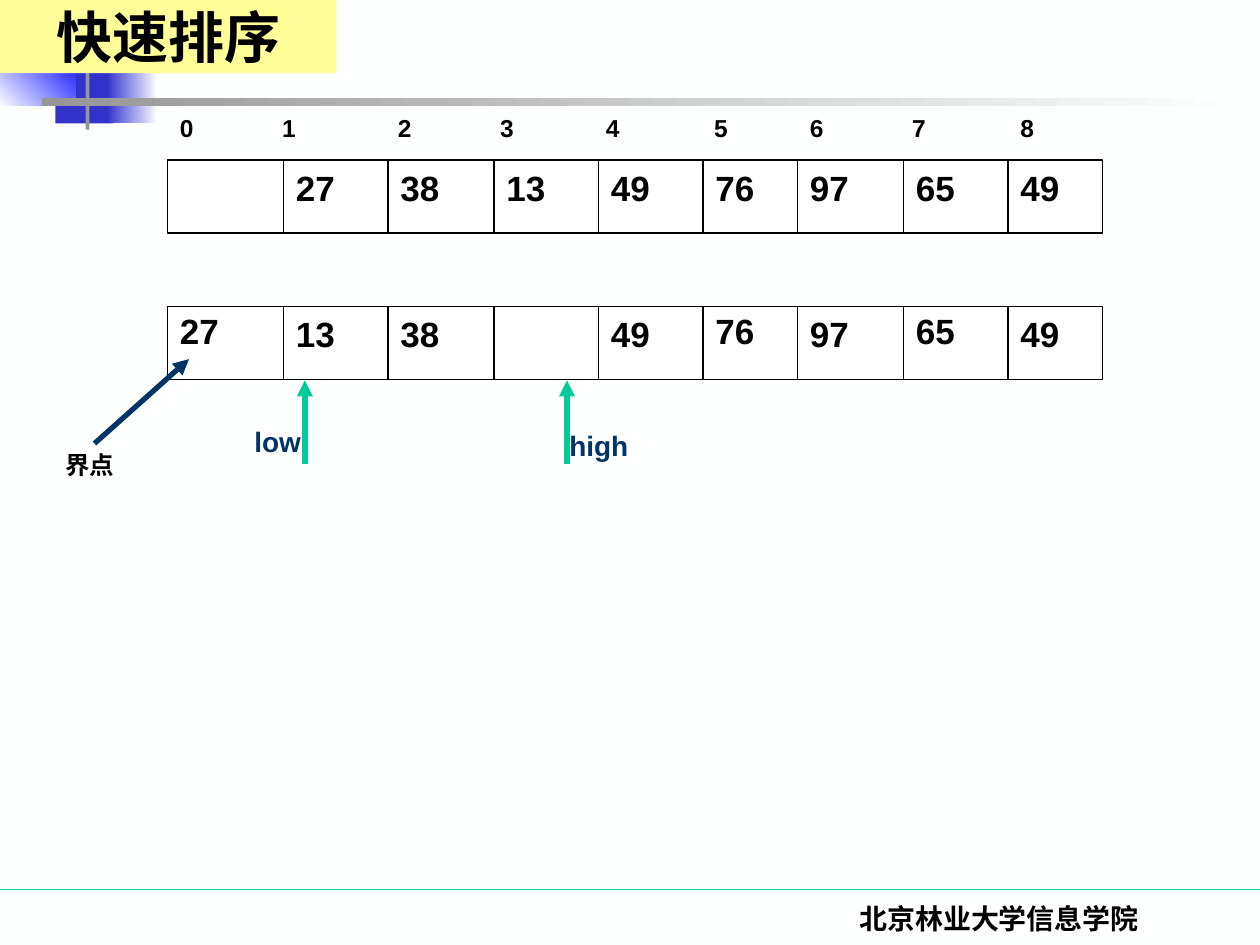
from pptx import Presentation
from pptx.dml.color import RGBColor
from pptx.enum import shapes, text
from pptx.oxml import parse_xml
from pptx.oxml.ns import nsdecls
from pptx.util import Inches, Pt

BLACK = RGBColor(0, 0, 0)
PAPER = RGBColor(0xFE, 0xFF, 0xFF)
WHITE = RGBColor(0xFF, 0xFF, 0xFF)
GRAY = RGBColor(0x96, 0x96, 0x96)
BLUE = RGBColor(0x33, 0x33, 0xCC)
PURE = RGBColor(0, 0, 0xFF)
NAVY = RGBColor(0, 0x33, 0x66)
GREEN = RGBColor(0, 0xCC, 0x99)
YELLOW = RGBColor(0xFF, 0xFF, 0x99)
SANS, SERIF = "Arial", "Times New Roman"

DECOR = [
    ((0.44, 0.46, 0.46, 0.52), [BLUE], 0),
    ((0.85, 0.46, 0.4, 0.52), [BLUE, PAPER], 0),
    ((-0.01, 0.38, 0.61, 0.46), [PAPER, PURE], 45),
    ((0.68, -0.12, 0.03, 1.15), [GRAY], 0),
    ((0.33, 0.78, 9.51, 0.06), [GRAY, PAPER], 0),
]
EDGES = [1.33, 2.25, 3.08, 3.92, 4.75, 5.58, 6.33, 7.17, 8, 8.75]
TABS = [0.81, 1.73, 2.54, 3.38, 4.24, 5, 5.81, 6.67]
ROWS = [
    (1.27, ["", "27", "38", "13", "49", "76", "97", "65", "49"], ()),
    (2.43, ["27", "13", "38", "", "49", "76", "97", "65", "49"], (0, 5, 7)),
]
HIGH = 0.58
LEFT, WIDE = EDGES[0], EDGES[-1] - EDGES[0]
MARKS = [("high", 4.5, 4.42, 3.35), ("low", 2.42, 1.92, 3.32)]

deck = Presentation()
deck.slide_width, deck.slide_height = Inches(10), Inches(7.5)
slide = deck.slides.add_slide(deck.slide_layouts[6])
slide.background.fill.solid()
slide.background.fill.fore_color.rgb = PAPER


def add_rect(box, hues, angle=0, edge=None):
    rect = slide.shapes.add_shape(shapes.MSO_SHAPE.RECTANGLE, *map(Inches, box))
    rect.shadow.inherit = False
    if len(hues) == 1:
        rect.fill.solid()
        rect.fill.fore_color.rgb = hues[0]
    else:
        rect.fill.gradient()
        rect.fill.gradient_angle = angle
        for stop, hue in zip(rect.fill.gradient_stops, hues):
            stop.color.rgb = hue
    if edge is None:
        rect.line.fill.background()
    else:
        rect.line.color.rgb = edge
        rect.line.width = Pt(0.75)
    return rect


def add_line(start, end, hue, width=0.75, arrow=False):
    line = slide.shapes.add_connector(
        shapes.MSO_CONNECTOR.STRAIGHT, *map(Inches, start + end))
    line.line.color.rgb = hue
    line.line.width = Pt(width)
    if arrow:
        line.line._get_or_add_ln().append(
            parse_xml(f'<a:tailEnd {nsdecls("a")} type="triangle"/>'))
    line._element.spPr.append(parse_xml(f'<a:effectLst {nsdecls("a")}/>'))


def write(shape, words, size, face=SANS, hue=BLACK, align=None, tabs=()):
    frame = shape.text_frame
    frame.word_wrap = True
    frame.text = words
    para = frame.paragraphs[0]
    para.alignment = align
    if tabs:
        stops = "".join(
            f'<a:tab pos="{Inches(tab)}" algn="l"/>' for tab in tabs)
        para._p.get_or_add_pPr().append(
            parse_xml(f'<a:tabLst {nsdecls("a")}>{stops}</a:tabLst>'))
    for run in para.runs:
        run.font.name, run.font.size = face, Pt(size)
        run.font.bold = True
        run.font.color.rgb = hue


def add_text(box, words, size, **style):
    write(slide.shapes.add_textbox(*map(Inches, box)), words, size, **style)


CENTER = text.PP_ALIGN.CENTER
add_line((0, 7.06), (10, 7.06), GREEN)
for box, hues, angle in DECOR:
    add_rect(box, hues, angle)
add_text((5.86, 7.11, 4.14, 0.5), "北京林业大学信息学院", 16,
         face=SERIF, align=CENTER)

add_text((LEFT, 0.85, WIDE, 0.34), "\t".join(map(str, range(9))), 14, tabs=TABS)
for top, keys, raised in ROWS:
    add_rect((LEFT, top, WIDE, HIGH), [WHITE], edge=BLACK)
    for x in EDGES[1:-1]:
        add_line((x, top), (x, top + HIGH), BLACK)
    for col, key in enumerate(keys):
        if key:
            y = top - 0.02 if col in raised else top
            add_text((EDGES[col], y, 0.67, 0.44), key, 20)

for name, x, left, top in MARKS:
    add_line((x, 3.68), (x, 3.02), GREEN, 3, True)
    add_text((left, top, 0.92, 0.37), name, 16, hue=NAVY)
add_text((0.42, 3.52, 0.83, 0.34), "界点", 14)
add_line((0.75, 3.52), (1.5, 2.85), NAVY, 3, True)

title = add_rect((0, 0, 2.67, 0.58), [YELLOW])
title.text_frame.vertical_anchor = text.MSO_ANCHOR.MIDDLE
write(title, "快速排序", 32, face=SERIF, align=CENTER)

deck.save("out.pptx")
